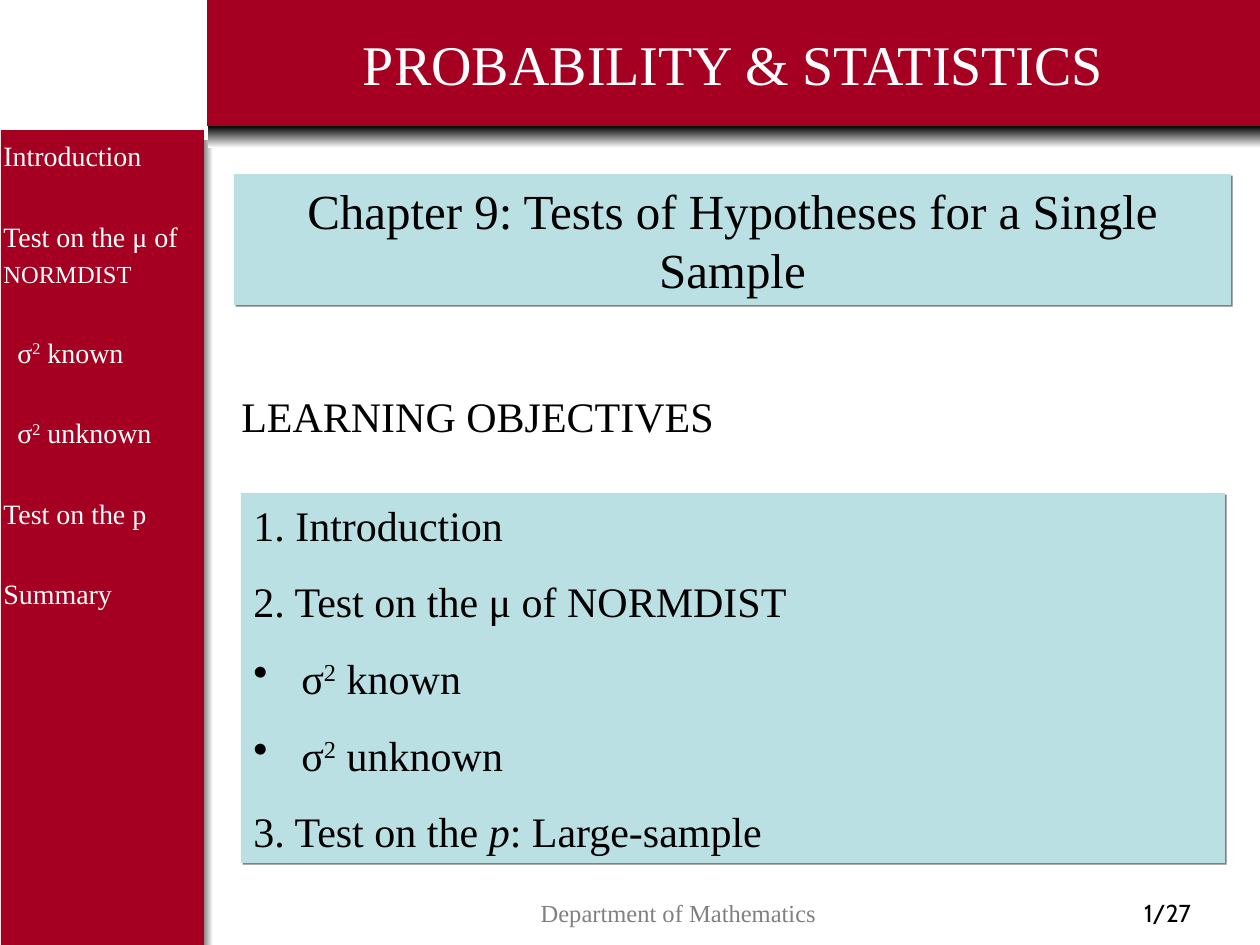
from lxml import etree
from pptx import Presentation
from pptx import util as u
from pptx.dml.color import RGBColor
from pptx.enum import shapes, text
from pptx.oxml.ns import qn

EMU_PER_PX = u.Inches(1) / 126
COLORS = {
    "crimson": "A50021",
    "pale": "BBE0E3",
    "white": "FFFFFF",
    "black": "000000",
    "gray": "808080",
}
SERIF = "Times New Roman"
CENTER = text.PP_ALIGN.CENTER
SQUARED = ("2", {"sup": True})


def px(length):
    return u.Emu(round(length * EMU_PER_PX))


def rgb(name):
    return RGBColor.from_string(COLORS[name])


class LectureSlide:
    """Holds the lecture style and the slide being built."""

    def __init__(self, deck):
        self.slide = deck.slides.add_slide(deck.slide_layouts[5])

    def title(self, box, words):
        heading = self.slide.shapes.title
        heading.left, heading.top, heading.width, heading.height = map(px, box)
        heading.fill.solid()
        heading.fill.fore_color.rgb = rgb("crimson")
        heading.text_frame.vertical_anchor = text.MSO_ANCHOR.MIDDLE
        self.paragraph(heading.text_frame.paragraphs[0], [words], size=32,
                       color="white", align=CENTER)

    def rect(self, box):
        rect = self.slide.shapes.add_shape(
            shapes.MSO_SHAPE.RECTANGLE, *map(px, box))
        rect.shadow.inherit = False
        rect.line.fill.background()
        return rect

    def block(self, box, color):
        block = self.rect(box)
        block.fill.solid()
        block.fill.fore_color.rgb = rgb(color)
        return block

    def fading_bar(self, box, angle):
        bar = self.rect(box)
        bar.fill.gradient()
        bar.fill.gradient_angle = angle
        for stop, color in zip(bar.fill.gradient_stops, ("black", "white")):
            stop.color.rgb = rgb(color)

    def panel(self, box):
        """Pale block with a thin hard shadow; returns its text frame."""
        panel = self.block(box, "pale")
        effects = panel._element.spPr.find(qn("a:effectLst"))
        shadow = etree.SubElement(effects, qn("a:outerShdw"), dist="17780",
                                  dir="2700000", algn="ctr", rotWithShape="0")
        etree.SubElement(shadow, qn("a:srgbClr"), val=COLORS["gray"])
        return self.prepare(panel.text_frame)

    def textbox(self, box):
        return self.prepare(
            self.slide.shapes.add_textbox(*map(px, box)).text_frame)

    def prepare(self, frame):
        frame.word_wrap = True
        frame.vertical_anchor = text.MSO_ANCHOR.TOP
        return frame

    def add_lines(self, frame, lines, **style):
        """Each line is a list of runs, or a pair of runs and own style."""
        for number, line in enumerate(lines):
            runs, own = line if isinstance(line, tuple) else (line, {})
            target = frame.add_paragraph() if number else frame.paragraphs[0]
            self.paragraph(target, runs, **{**style, **own})

    def paragraph(self, target, runs, size, color="black", font=SERIF,
                  align=text.PP_ALIGN.LEFT, before=0, spacing=None,
                  margin=0, indent=0, bullet=None):
        props = target._p.get_or_add_pPr()
        props.set("marL", str(px(margin)))
        props.set("indent", str(px(indent)))
        if bullet:
            etree.SubElement(props, qn("a:buChar"), char=bullet)
        target.alignment = align
        target.space_before = u.Pt(before)
        if spacing:
            target.line_spacing = spacing
        target.font.size = u.Pt(size)
        target.font.name = font
        target.font.color.rgb = rgb(color)
        for part in runs:
            words, look = part if isinstance(part, tuple) else (part, {})
            run = target.add_run()
            run.text = words
            if "size" in look:
                run.font.size = u.Pt(look["size"])
            if look.get("italic"):
                run.font.italic = True
            if look.get("sup"):
                run._r.get_or_add_rPr().set("baseline", "30000")

    def footer(self, box, words, **style):
        frame = self.textbox(box)
        frame.margin_top = px(34)
        self.add_lines(frame, [[words]], size=14, align=CENTER, **style)


def main():
    deck = Presentation()
    deck.slide_width, deck.slide_height = px(1260), px(945)
    lecture = LectureSlide(deck)

    lecture.fading_bar((194, 140, 19, 805), angle=0)
    lecture.block((1, 130, 203, 815), "crimson")
    lecture.fading_bar((208, 126, 1052, 22), angle=270)
    lecture.title((207, 0, 1053, 126), "PROBABILITY & STATISTICS")

    known = ["σ", SQUARED, " known"]
    unknown = ["σ", SQUARED, " unknown"]

    sub_topic = {"margin": 14}
    lecture.add_lines(lecture.textbox((-9, 126, 212, 532)), [
        ["Introduction"],
        ["Test on the μ of ", ("NORMDIST", {"size": 14})],
        (known, sub_topic),
        (unknown, sub_topic),
        ["Test on the p"],
        ["Summary"],
    ], size=16, color="white", before=23, spacing=1.2)

    lecture.footer((1075, 864, 185, 81), "1/27", font="Cabin")
    lecture.footer((295, 864, 767, 81), "Department of Mathematics",
                   color="gray")

    lecture.add_lines(lecture.textbox((229, 384, 885, 63)),
                      [["LEARNING OBJECTIVES"]], size=24)
    bulleted = {"bullet": "•"}
    lecture.add_lines(lecture.panel((241, 493, 984, 370)), [
        ["1. Introduction"],
        ["2. Test on the μ of NORMDIST"],
        (known, bulleted),
        (unknown, bulleted),
        ["3. Test on the ", ("p", {"italic": True}), ": Large-sample"],
    ], size=24, before=15, margin=48, indent=-48)
    lecture.add_lines(lecture.panel((234, 174, 997, 131)),
                      [["Chapter 9: Tests of Hypotheses for a Single Sample"]],
                      size=28, align=CENTER)

    deck.save("out.pptx")


if __name__ == "__main__":
    main()
